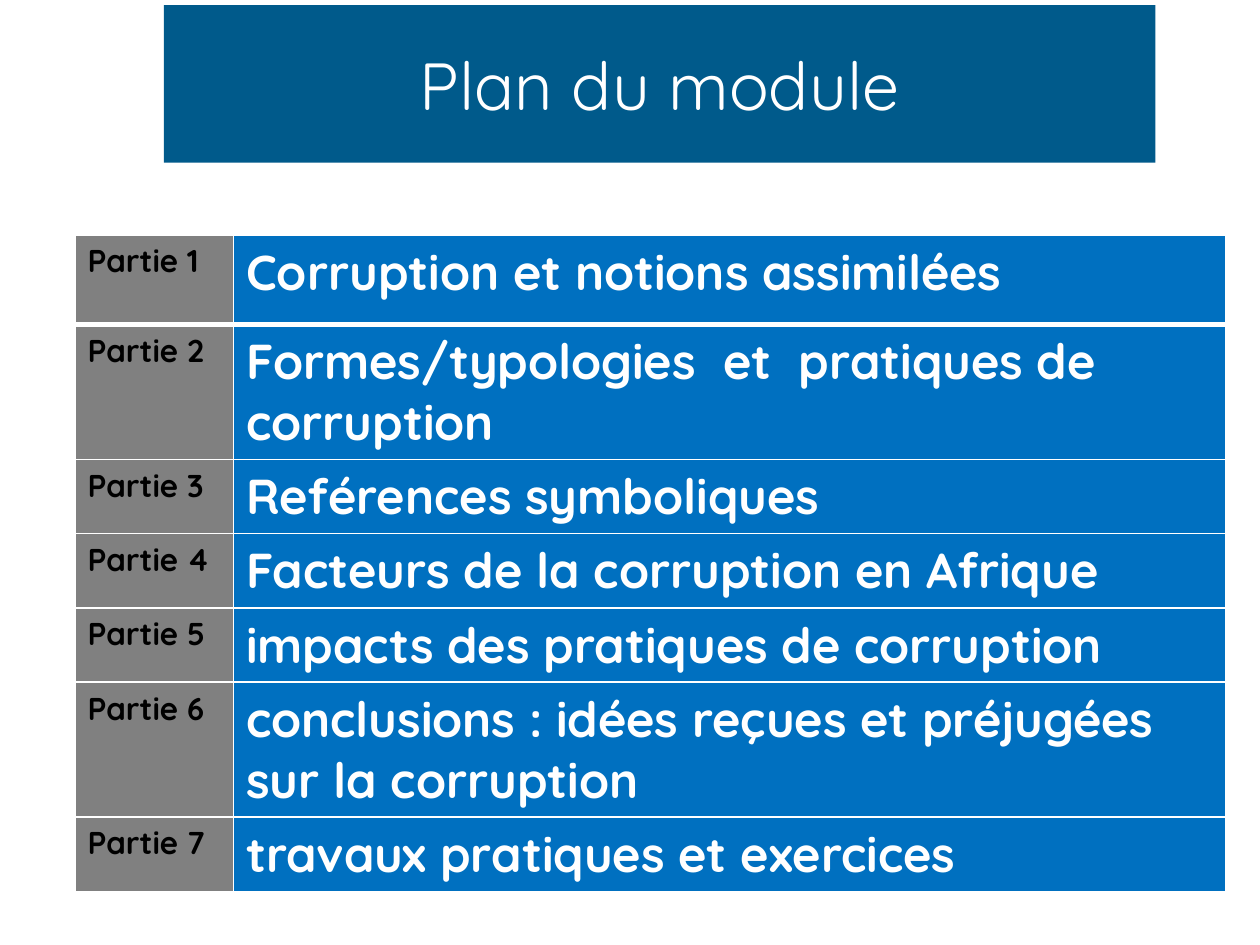
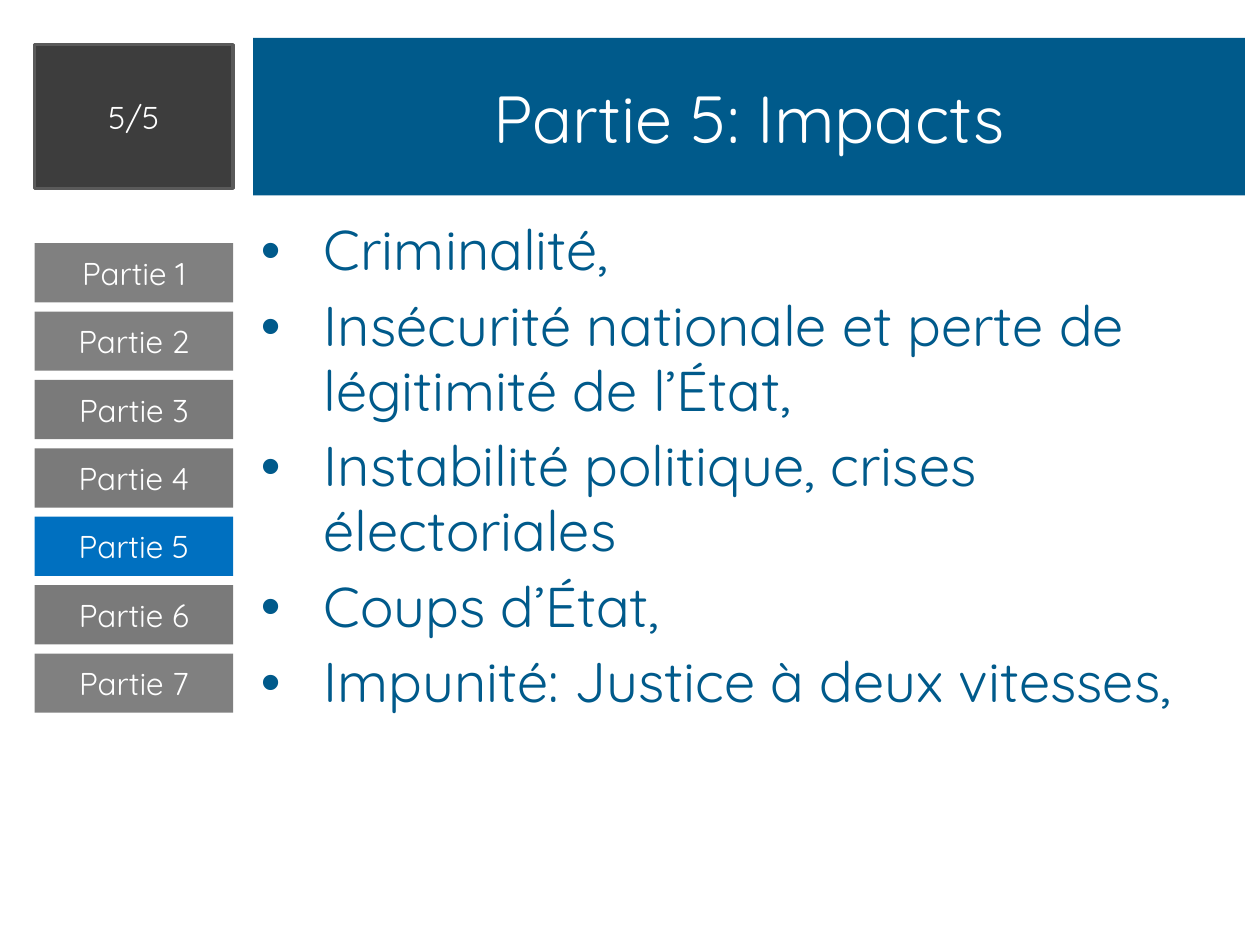
from dataclasses import dataclass

from lxml import etree
from pptx import Presentation
from pptx.dml.color import RGBColor
from pptx.enum.shapes import MSO_SHAPE
from pptx.enum.text import MSO_ANCHOR, MSO_AUTO_SIZE, PP_ALIGN
from pptx.oxml.ns import qn
from pptx.util import Emu, Inches, Pt

RECTANGLE = MSO_SHAPE.RECTANGLE
MIDDLE = MSO_ANCHOR.MIDDLE
TOP = MSO_ANCHOR.TOP
NO_FIT = MSO_AUTO_SIZE.NONE
LEFT, CENTER = PP_ALIGN.LEFT, PP_ALIGN.CENTER

# The page is a grid of 100 columns by 75 rows
PAGE_WIDTH, PAGE_HEIGHT = Inches(10), Inches(7.5)
COLUMN, ROW = PAGE_WIDTH // 100, PAGE_HEIGHT // 75
TITLE_ONLY_LAYOUT, LIST_LAYOUT = 5, 1


@dataclass(frozen=True)
class Theme:
    font: str = "Quicksand"
    navy: str = "005A8B"
    blue: str = "0070C0"
    gray: str = "808080"
    dim_gray: str = "7A7A7A"
    dark: str = "3D3D3D"
    edge: str = "5A5A5A"
    white: str = "FFFFFF"
    black: str = "000000"
    title_size: float = 38
    list_size: float = 32
    topic_size: float = 28
    label_size: float = 18


@dataclass(frozen=True)
class Box:
    """A region measured in grid columns and rows."""
    left: float
    top: float
    width: float
    height: float

    def emu(self):
        return (Emu(round(self.left * COLUMN)), Emu(round(self.top * ROW)),
                Emu(round(self.width * COLUMN)), Emu(round(self.height * ROW)))


THEME = Theme()
TITLE_WIDTH, TITLE_HEIGHT = 78.7, 12.5

# Each part: topic, and height of its row in the plan
PLAN = [
    ("Corruption et notions assimilées", 7.1),
    ("Formes/typologies  et  pratiques de corruption", 10.2),
    ("Reférences symboliques", 5.9),
    ("Facteurs de la corruption en Afrique", 5.9),
    ("impacts des pratiques de corruption", 5.9),
    ("conclusions : idées reçues et préjugées sur la corruption", 10.2),
    ("travaux pratiques et exercices", 5.9),
]
PART_LABELS = [f"Partie {number}" for number in range(1, len(PLAN) + 1)]
DIM_PARTS = {3, 4, 6}

IMPACTS = [
    "Criminalité,",
    "Insécurité nationale et perte de légitimité de l’État,",
    "Instabilité politique, crises électoriales",
    "Coups d’État,",
    "Impunité: Justice à deux vitesses,",
]


def color(value):
    return RGBColor.from_string(value)


def paint(target, value):
    target.fill.solid()
    target.fill.fore_color.rgb = color(value)


def write(para, text, size, ink, bold=False, align=CENTER):
    para.alignment = align
    span = para.add_run()
    span.text = text
    span.font.name = THEME.font
    span.font.size = Pt(size)
    span.font.bold = bold
    span.font.color.rgb = color(ink)


def place(shape, box):
    shape.left, shape.top, shape.width, shape.height = box.emu()


# Title band shared by both slides
def fill_title(page, left, top, text):
    title = page.shapes.title
    place(title, Box(left, top, TITLE_WIDTH, TITLE_HEIGHT))
    paint(title, THEME.navy)
    frame = title.text_frame
    frame.auto_size = NO_FIT
    frame.vertical_anchor = MIDDLE
    write(frame.paragraphs[0], text, THEME.title_size, THEME.white)


# Table of the parts
def set_borders(cell, widths):
    properties = cell._tc.get_or_add_tcPr()
    for index, (side, width) in enumerate(widths.items()):
        line = etree.Element(qn(f"a:ln{side}"), w=str(Pt(width)))
        fill = etree.SubElement(line, qn("a:solidFill"))
        etree.SubElement(fill, qn("a:srgbClr"), val=THEME.white)
        properties.insert(index, line)


def add_plan_table(page, box, label_width):
    table = page.shapes.add_table(len(PLAN), 2, *box.emu()).table
    for column, width in zip(table.columns, (label_width, box.width - label_width)):
        column.width = Emu(round(width * COLUMN))
    styles = [(THEME.gray, THEME.black, THEME.label_size),
              (THEME.blue, THEME.white, THEME.topic_size)]
    for index, (label, (topic, height)) in enumerate(zip(PART_LABELS, PLAN)):
        table.rows[index].height = Emu(round(height * ROW))
        # A thicker rule separates the first row from the rest
        borders = {"L": 1, "R": 1, "T": 3 if index == 1 else 1,
                   "B": 3 if index == 0 else 1}
        for cell, text, (fill, ink, size) in zip(
                table.rows[index].cells, (label, topic), styles):
            paint(cell, fill)
            set_borders(cell, borders)
            cell.vertical_anchor = TOP
            write(cell.text_frame.paragraphs[0], text, size, ink, True, LEFT)


# Side column: page counter and part buttons
def add_label(page, box, text, fill, edge=None):
    label = page.shapes.add_shape(RECTANGLE, *box.emu())
    label.shadow.inherit = False
    paint(label, fill)
    if edge:
        label.line.color.rgb = color(edge)
        label.line.width = Pt(2)
    else:
        label.line.fill.background()
    label.text_frame.word_wrap = True
    label.text_frame.vertical_anchor = MIDDLE
    write(label.text_frame.paragraphs[0], text, THEME.label_size, THEME.white)


def add_navigation(page, box, current):
    pitch = box.height / len(PART_LABELS)
    for number, text in enumerate(PART_LABELS, 1):
        fill = THEME.dim_gray if number in DIM_PARTS else THEME.gray
        if number == current:
            fill = THEME.blue
        button = Box(box.left, box.top + (number - 1) * pitch, box.width, 4.7)
        add_label(page, button, text, fill)


# Bulleted list in the body placeholder
def fill_list(page, box, items):
    body = page.placeholders[1]
    place(body, box)
    frame = body.text_frame
    frame.auto_size = NO_FIT
    for index, text in enumerate(items):
        para = frame.add_paragraph() if index else frame.paragraphs[0]
        properties = para._p.get_or_add_pPr()
        properties.set("marL", str(Inches(0.5)))
        properties.set("indent", str(-Inches(0.5)))
        para.line_spacing = 0.96
        para.space_before = Pt(0.2 * THEME.list_size if index else 0)
        write(para, text, THEME.list_size, THEME.navy, align=LEFT)


def build_plan_slide(deck):
    page = deck.slides.add_slide(deck.slide_layouts[TITLE_ONLY_LAYOUT])
    fill_title(page, 13, 0.4, "Plan du module")
    add_plan_table(page, Box(5.95, 18.65, 91.3, 51.1), 12.6)


def build_impacts_slide(deck):
    page = deck.slides.add_slide(deck.slide_layouts[LIST_LAYOUT])
    fill_title(page, 20.1, 3, "Partie 5: Impacts")
    fill_list(page, Box(19.7, 16.9, 80.3, 58.1), IMPACTS)
    add_label(page, Box(2.75, 3.55, 15.75, 11.4), "5/5", THEME.dark, THEME.edge)
    add_navigation(page, Box(2.75, 19.3, 15.75, 38), current=5)


def main():
    deck = Presentation()
    deck.slide_width, deck.slide_height = PAGE_WIDTH, PAGE_HEIGHT
    build_plan_slide(deck)
    build_impacts_slide(deck)
    deck.save("out.pptx")


if __name__ == "__main__":
    main()
